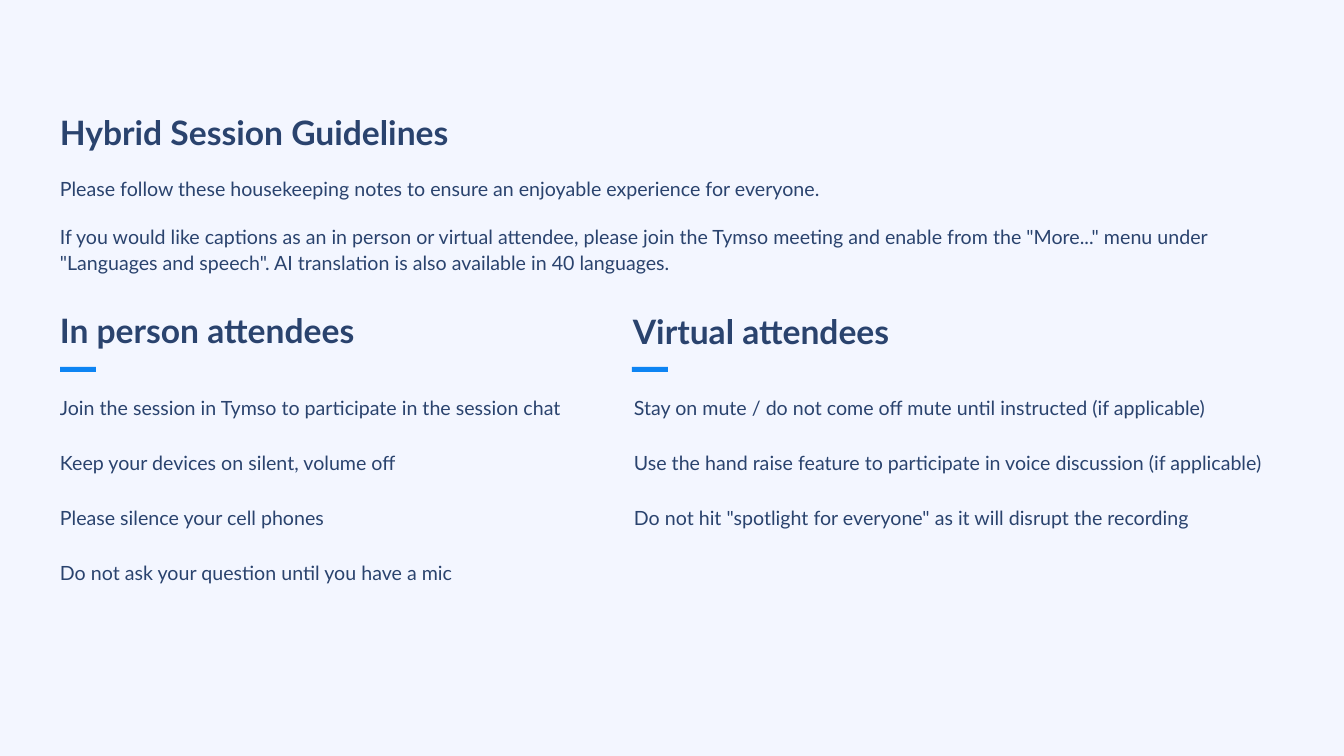
from pptx import Presentation
from pptx.dml.color import RGBColor
from pptx.enum.shapes import MSO_SHAPE as SHAPE
from pptx.enum.text import MSO_ANCHOR as ANCHOR
from pptx.util import Emu, Pt

NAVY = RGBColor(0x2A, 0x43, 0x6E)
BLUE = RGBColor(0x0D, 0x84, 0xF3)
PALE = RGBColor(0xF3, 0xF6, 0xFF)


def px(n):
    return Emu(round(n * 914400 / 100.8))


def add_text(box, lines, size=14, bold=False, anchor=ANCHOR.MIDDLE,
             spacing=(0.9,), gap=0):
    """Add a text box; spacing holds one line spacing per paragraph."""
    tf = s.shapes.add_textbox(*map(px, box)).text_frame
    tf.word_wrap = True
    tf.vertical_anchor = anchor
    for i, line in enumerate(lines):
        p = tf.add_paragraph() if i else tf.paragraphs[0]
        p.line_spacing = spacing[i % len(spacing)]
        if i:
            p.space_before = Pt(gap)
        r = p.add_run()
        r.text = line
        r.font.name = "Lato"
        r.font.size = Pt(size)
        r.font.bold = bold
        r.font.color.rgb = NAVY


prs = Presentation()
prs.slide_width, prs.slide_height = px(1344), px(756)
s = prs.slides.add_slide(prs.slide_layouts[6])
s.background.fill.solid()
s.background.fill.fore_color.rgb = PALE

add_text((50, 104, 1243, 62), ["Hybrid Session Guidelines"], size=24, bold=True)
add_text((50, 172, 1243, 110), [
    "Please follow these housekeeping notes to ensure an enjoyable experience for everyone.",
    'If you would like captions as an in person or virtual attendee, please join the Tymso '
    'meeting and enable from the "More..." menu under "Languages and speech". '
    'AI translation is also available in 40 languages.',
], spacing=(0.9, 1.1), gap=15)

# heading, heading box, list box, accent bar left, list
columns = [
    ("In person attendees", (50, 302, 512, 62), (50, 391, 528, 270), 60, [
        "Join the session in Tymso to participate in the session chat",
        "Keep your devices on silent, volume off",
        "Please silence your cell phones",
        "Do not ask your question until you have a mic",
    ]),
    ("Virtual attendees", (623, 302, 427, 64), (624, 391, 684, 252), 632, [
        "Stay on mute / do not come off mute until instructed (if applicable)",
        "Use the hand raise feature to participate in voice discussion (if applicable)",
        'Do not hit "spotlight for everyone" as it will disrupt the recording',
    ]),
]
for heading, heading_box, list_box, bar_left, rules in columns:
    add_text(heading_box, [heading], size=24, bold=True)
    add_text(list_box, rules, anchor=ANCHOR.TOP, spacing=(1.0,), gap=22.5)
    bar = s.shapes.add_shape(SHAPE.RECTANGLE, px(bar_left), px(367), px(36), px(5))
    bar.shadow.inherit = False
    bar.fill.solid()
    bar.fill.fore_color.rgb = BLUE
    bar.line.fill.background()

prs.save("out.pptx")
